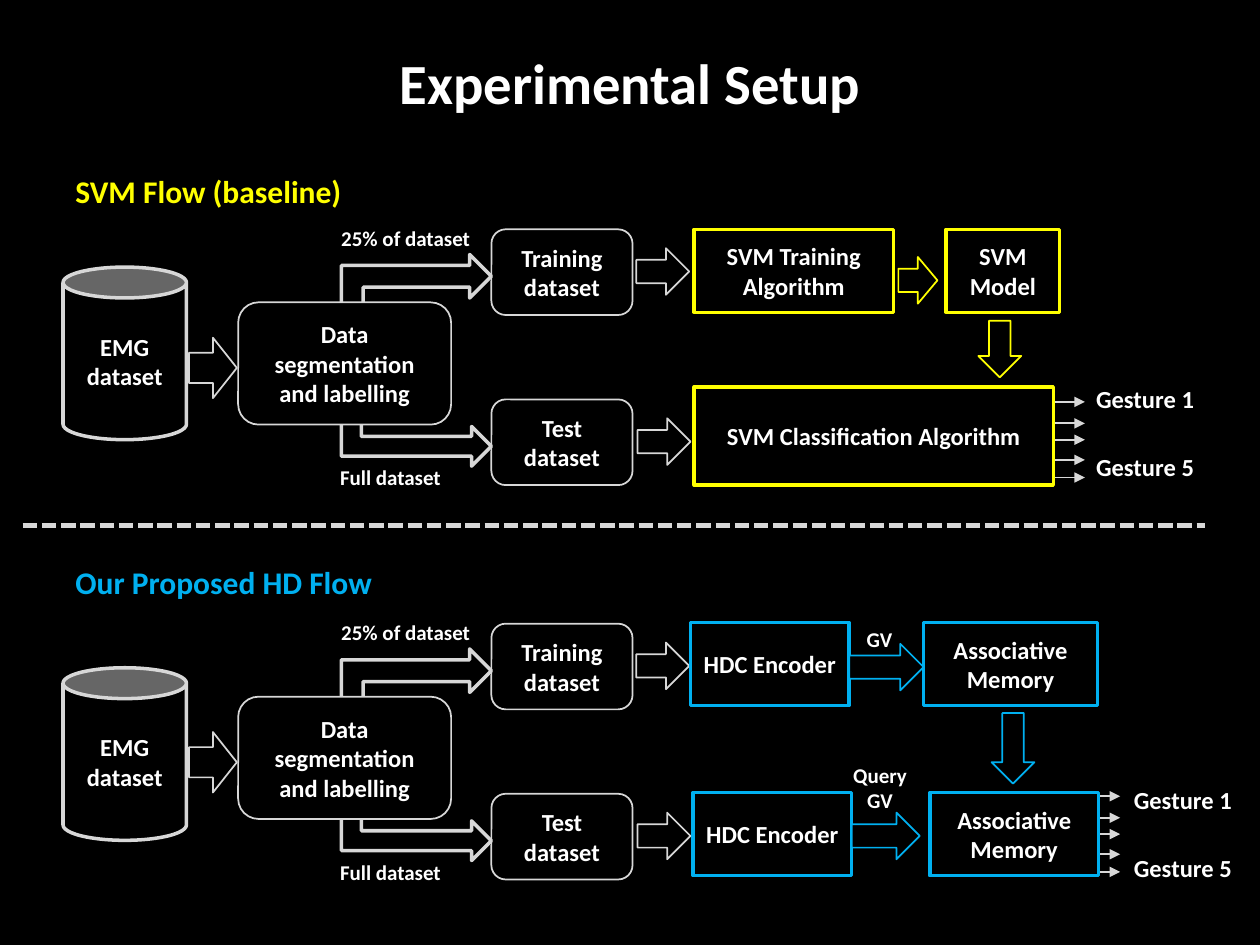
from dataclasses import dataclass

from lxml import etree
from pptx import Presentation
from pptx.dml.color import RGBColor
from pptx.enum import dml, shapes, text
from pptx.oxml import ns
from pptx.util import Inches, Pt

BLACK = RGBColor(0x00, 0x00, 0x00)
WHITE = RGBColor(0xFF, 0xFF, 0xFF)
GREY = RGBColor(0xD7, 0xD7, 0xD7)
YELLOW = RGBColor(0xFF, 0xFF, 0x00)
BLUE = RGBColor(0x00, 0xB0, 0xF0)

Kind = shapes.MSO_SHAPE
HD_OFFSET = 3.13  # vertical distance between the two flows
OUTPUT_STEPS = (0, 0.17, 0.30, 0.46, 0.60)


@dataclass
class Block:
    left: float
    top: float
    width: float
    height: float
    words: str = ""
    color: RGBColor = GREY
    kind: Kind = Kind.RECTANGLE
    weight: float = 2
    rotation: float = 0
    flipped: bool = False


@dataclass
class Label:
    left: float
    top: float
    width: float
    height: float
    words: str
    size: float = 12
    color: RGBColor = WHITE
    align: text.PP_ALIGN = text.PP_ALIGN.LEFT


def style_text(frame, size: float, color: RGBColor, align: text.PP_ALIGN) -> None:
    for paragraph in frame.paragraphs:
        paragraph.alignment = align
        for run in paragraph.runs:
            run.font.name = "Calibri"
            run.font.size = Pt(size)
            run.font.bold = True
            run.font.color.rgb = color


def draw_block(slide, block: Block) -> None:
    shape = slide.shapes.add_shape(block.kind, Inches(block.left), Inches(block.top),
                                   Inches(block.width), Inches(block.height))
    shape.shadow.inherit = False
    shape.fill.solid()
    shape.fill.fore_color.rgb = BLACK
    shape.line.color.rgb = block.color
    shape.line.width = Pt(block.weight)
    shape.rotation = block.rotation
    if block.flipped:
        shape._element.spPr.xfrm.set("flipH", "1")
    if block.words:
        frame = shape.text_frame
        frame.text = block.words
        frame.word_wrap = True
        frame.margin_left = frame.margin_right = Inches(0.08)
        frame.vertical_anchor = text.MSO_ANCHOR.MIDDLE
        style_text(frame, 14, WHITE, text.PP_ALIGN.CENTER)


def draw_label(slide, label: Label) -> None:
    box = slide.shapes.add_textbox(Inches(label.left), Inches(label.top),
                                   Inches(label.width), Inches(label.height))
    box.text_frame.text = label.words
    box.text_frame.word_wrap = False
    style_text(box.text_frame, label.size, label.color, label.align)


def draw_line(slide, left: float, right: float, y: float, weight: float = 1):
    line = slide.shapes.add_connector(shapes.MSO_CONNECTOR.STRAIGHT, Inches(left),
                                      Inches(y), Inches(right), Inches(y))
    line.line.color.rgb = GREY
    line.line.width = Pt(weight)
    etree.SubElement(line._element.spPr, ns.qn("a:effectLst"))
    return line


def arrow(left: float, top: float, width: float, height: float,
          color: RGBColor = GREY, rotation: float = 0) -> Block:
    return Block(left, top, width, height, "", color, Kind.RIGHT_ARROW, 1, rotation)


def rounded(left: float, top: float, width: float, height: float, words: str) -> Block:
    return Block(left, top, width, height, words, GREY, Kind.ROUNDED_RECTANGLE, 1)


def draw_data_preparation(slide, dy: float, dataset_top: float) -> None:
    """Dataset, segmentation and the training and test branches of one flow."""
    draw_label(slide, Label(2.6, 3.64 + dy, 1.01, 0.3, "Full dataset"))
    draw_label(slide, Label(2.61, 1.74 + dy, 1.24, 0.3, "25% of dataset"))
    for block in (
        rounded(3.9, 3.17 + dy, 1.12, 0.68, "Test dataset"),
        Block(2.99, 2.79 + dy, 0.63, 1.19, kind=Kind.BENT_UP_ARROW, rotation=90),
        arrow(5.06, 3.32 + dy, 0.42, 0.37),
        rounded(3.9, 1.82 + dy, 1.12, 0.68, "Training dataset"),
        Block(2.96, 1.77 + dy, 0.69, 1.19, kind=Kind.BENT_UP_ARROW, rotation=90,
              flipped=True),
        arrow(5.05, 1.97 + dy, 0.42, 0.37),
        rounded(1.89, 2.4 + dy, 1.69, 0.97, "Data segmentation and labelling"),
        arrow(1.5, 2.68 + dy, 0.38, 0.48),
        Block(0.5, dataset_top, 0.98, 1.37, "EMG dataset", kind=Kind.CAN),
    ):
        draw_block(slide, block)


def draw_gestures(slide, line_left: float, line_top: float,
                  label_left: float, label_top: float) -> None:
    for step in OUTPUT_STEPS:
        line = draw_line(slide, line_left, line_left + 0.24, line_top + step)
        etree.SubElement(line.line._get_or_add_ln(), ns.qn("a:tailEnd"), type="triangle")
    for number, top in ((1, label_top), (5, label_top + 0.54)):
        draw_label(slide, Label(label_left, top, 0.98, 0.34, f"Gesture {number}", 14))


def draw_svm_flow(slide) -> None:
    draw_label(slide, Label(0.5, 1.32, 2.33, 0.4, "SVM Flow (baseline)", 18, YELLOW))
    draw_data_preparation(slide, 0, 2.12)
    draw_gestures(slide, 8.37, 3.19, 8.6, 3)
    for block in (
        Block(5.51, 3.07, 2.85, 0.78, "SVM Classification Algorithm", YELLOW),
        Block(5.51, 1.82, 1.58, 0.66, "SVM Training Algorithm", YELLOW),
        Block(7.51, 1.82, 0.9, 0.66, "SVM Model", YELLOW),
        arrow(7.13, 2.04, 0.31, 0.37, YELLOW),
        arrow(7.71, 2.6, 0.45, 0.34, YELLOW, 90),
    ):
        draw_block(slide, block)


def draw_hd_flow(slide) -> None:
    draw_label(slide, Label(0.5, 4.42, 2.58, 0.4, "Our Proposed HD Flow", 18, BLUE))
    draw_data_preparation(slide, HD_OFFSET, 5.3)
    draw_gestures(slide, 8.65, 3.19 + HD_OFFSET, 8.9, 6.18)
    draw_label(slide, Label(6.65, 6, 0.67, 0.5, "Query\nGV", align=text.PP_ALIGN.CENTER))
    draw_label(slide, Label(6.78, 4.92, 0.41, 0.3, "GV"))
    for block in (
        Block(5.5, 6.29, 1.26, 0.66, "HDC Encoder", BLUE),
        Block(7.38, 6.29, 1.34, 0.66, "Associative Memory", BLUE),
        arrow(6.76, 6.45, 0.54, 0.37, BLUE),
        Block(5.48, 4.94, 1.26, 0.66, "HDC Encoder", BLUE),
        Block(7.33, 4.94, 1.38, 0.66, "Associative Memory", BLUE),
        arrow(6.74, 5.11, 0.59, 0.37, BLUE),
        arrow(7.76, 5.77, 0.56, 0.34, BLUE, 90),
    ):
        draw_block(slide, block)


def main() -> None:
    deck = Presentation()
    deck.slide_width, deck.slide_height = Inches(10), Inches(7.5)
    slide = deck.slides.add_slide(deck.slide_layouts[5])
    slide.background.fill.solid()
    slide.background.fill.fore_color.rgb = BLACK

    title = slide.shapes.title
    title.left, title.top = Inches(0.5), Inches(0.3)
    title.width, title.height = Inches(9), Inches(0.7)
    title.text_frame.text = "Experimental Setup"
    title.text_frame.vertical_anchor = text.MSO_ANCHOR.MIDDLE
    style_text(title.text_frame, 32.4, WHITE, text.PP_ALIGN.CENTER)

    draw_svm_flow(slide)
    divider = draw_line(slide, 0.18, 9.56, 4.17, 2.75)
    divider.line.dash_style = dml.MSO_LINE.SQUARE_DOT
    draw_hd_flow(slide)
    deck.save("out.pptx")


if __name__ == "__main__":
    main()
